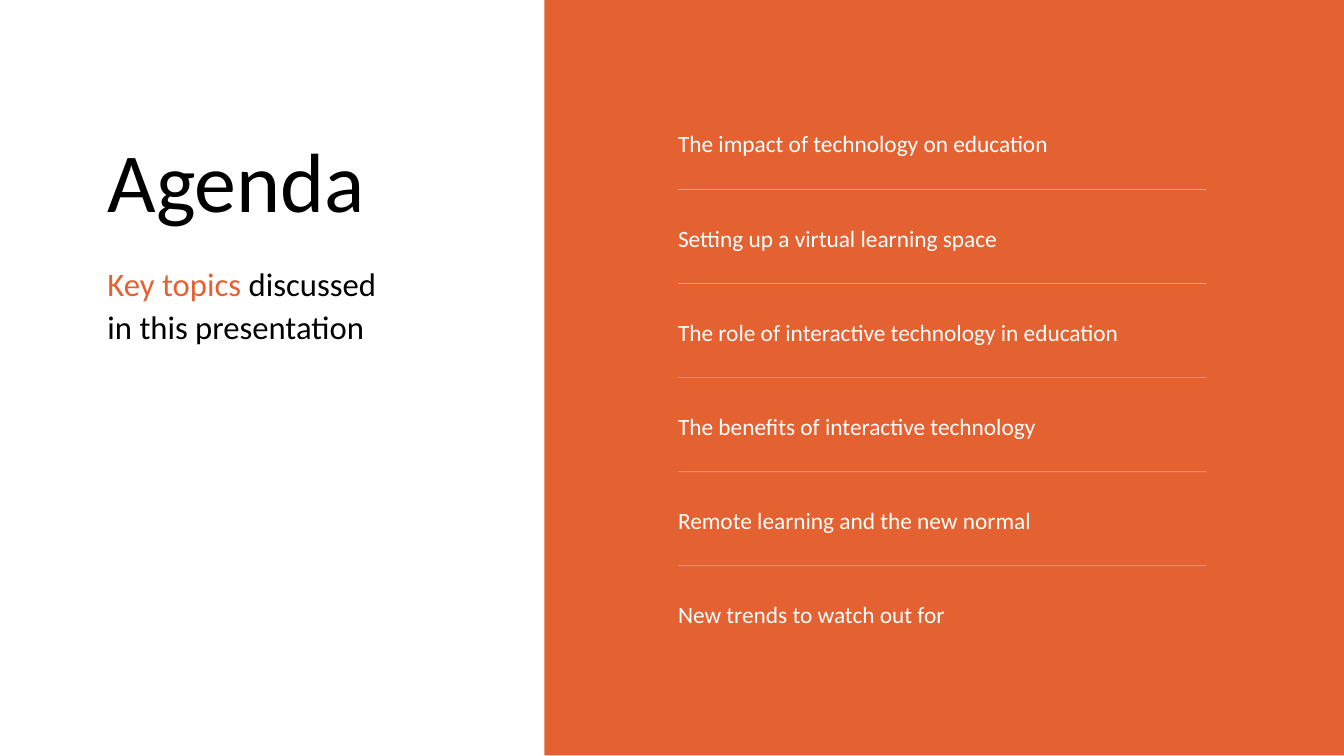
import lxml.etree
import pptx
import pptx.dml.color
import pptx.enum.shapes
import pptx.enum.text
import pptx.oxml.ns
import pptx.util
from pptx.util import Inches

COLORS = {"orange": "E46232", "black": "000000", "white": "FFFFFF"}
TOPICS = [
    "The impact of technology on education",
    "Setting up a virtual learning space",
    "The role of interactive technology in education",
    "The benefits of interactive technology",
    "Remote learning and the new normal",
    "New trends to watch out for",
]
TOPIC_LEFT, TOPIC_WIDTH = 10.09, 7.86
TOPIC_TOP, TOPIC_STEP, RULE_OFFSET = 1.86, 1.4, 0.96


class AgendaSlide:
    """Draws styled elements on the current slide."""

    font_name = "Calibri"

    def __init__(self, slide):
        self.slide = slide

    def color(self, name):
        return pptx.dml.color.RGBColor.from_string(COLORS[name])

    def panel(self, left, top, width, height, fill):
        shape = self.slide.shapes.add_shape(
            pptx.enum.shapes.MSO_SHAPE.RECTANGLE,
            Inches(left), Inches(top), Inches(width), Inches(height))
        shape.shadow.inherit = False
        shape.fill.solid()
        shape.fill.fore_color.rgb = self.color(fill)
        shape.line.fill.background()

    def text(self, left, top, width, height, lines, size, spacing):
        box = self.slide.shapes.add_textbox(
            Inches(left), Inches(top), Inches(width), Inches(height))
        frame = box.text_frame
        frame.word_wrap = True
        frame.auto_size = pptx.enum.text.MSO_AUTO_SIZE.SHAPE_TO_FIT_TEXT
        frame.margin_left = frame.margin_right = 0
        frame.margin_top = frame.margin_bottom = 0
        for index, line in enumerate(lines):
            paragraph = frame.add_paragraph() if index else frame.paragraphs[0]
            paragraph.line_spacing = pptx.util.Pt(spacing)
            paragraph.font.name = self.font_name
            paragraph.font.size = pptx.util.Pt(size)
            for content, color in line:
                run = paragraph.add_run()
                run.text = content
                run.font.color.rgb = self.color(color)

    def rule(self, left, top, width, color, opacity):
        connector = self.slide.shapes.add_connector(
            pptx.enum.shapes.MSO_CONNECTOR.STRAIGHT,
            Inches(left), Inches(top), Inches(left + width), Inches(top))
        connector.line.width = pptx.util.Pt(0.75)
        connector.line.color.rgb = self.color(color)
        qn = pptx.oxml.ns.qn
        properties = connector.element.spPr
        fill_color = properties.find(".//" + qn("a:srgbClr"))
        alpha = lxml.etree.SubElement(fill_color, qn("a:alpha"))
        alpha.set("val", str(opacity * 1000))
        lxml.etree.SubElement(properties, qn("a:effectLst"))


def main():
    presentation = pptx.Presentation()
    presentation.slide_width = Inches(20)
    presentation.slide_height = Inches(11.25)
    agenda = AgendaSlide(presentation.slides.add_slide(presentation.slide_layouts[6]))

    agenda.text(1.6, 1.91, 5.06, 1.51, [[("Agenda", "black")]], 90, 108)
    subtitle = [
        [("Key topics", "orange"), (" discussed", "black")],
        [("in this presentation", "black")],
    ]
    agenda.text(1.6, 3.88, 5.06, 1.26, subtitle, 35, 45.5)
    agenda.panel(8.1, -0.01, 11.9, 11.25, "orange")

    for index, topic in enumerate(TOPICS):
        top = TOPIC_TOP + index * TOPIC_STEP
        agenda.text(TOPIC_LEFT, top, TOPIC_WIDTH, 0.47, [[(topic, "white")]], 25, 35)
        if index < len(TOPICS) - 1:
            agenda.rule(TOPIC_LEFT, top + RULE_OFFSET, TOPIC_WIDTH, "white", 40)

    presentation.save("out.pptx")


if __name__ == "__main__":
    main()
